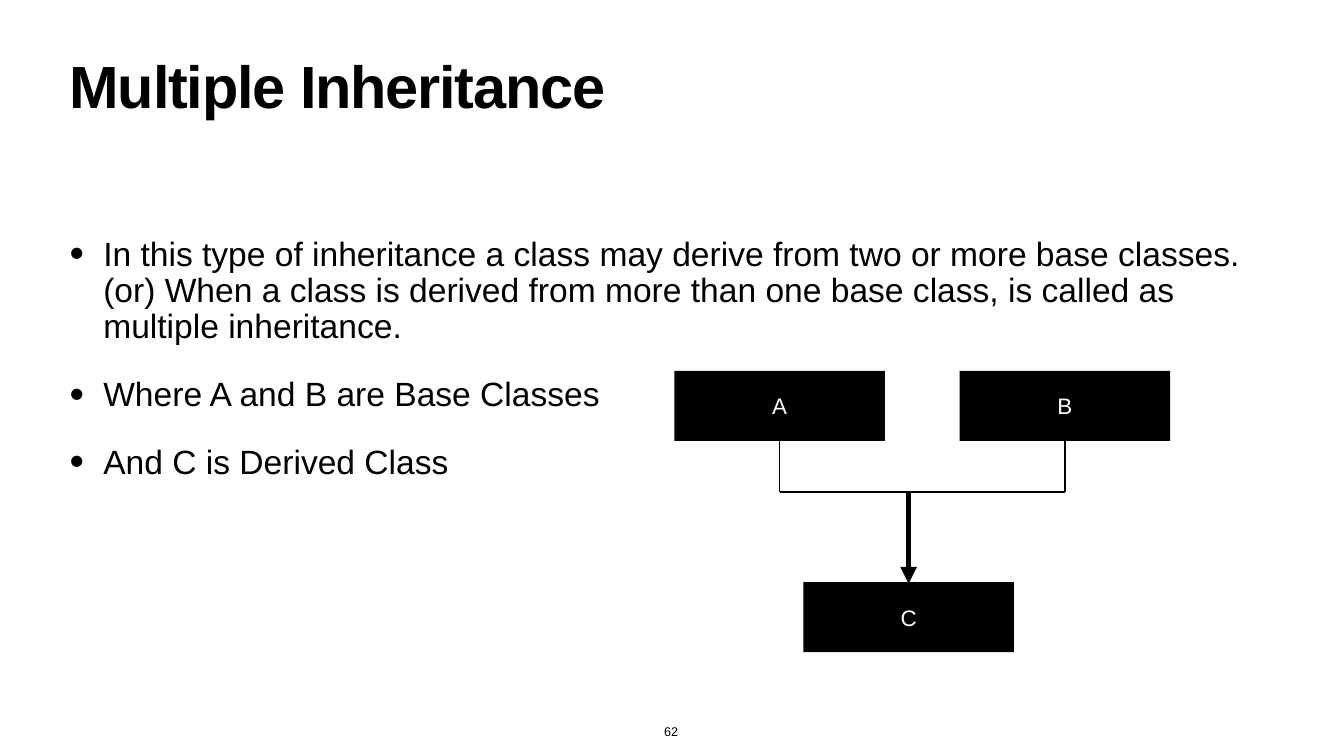
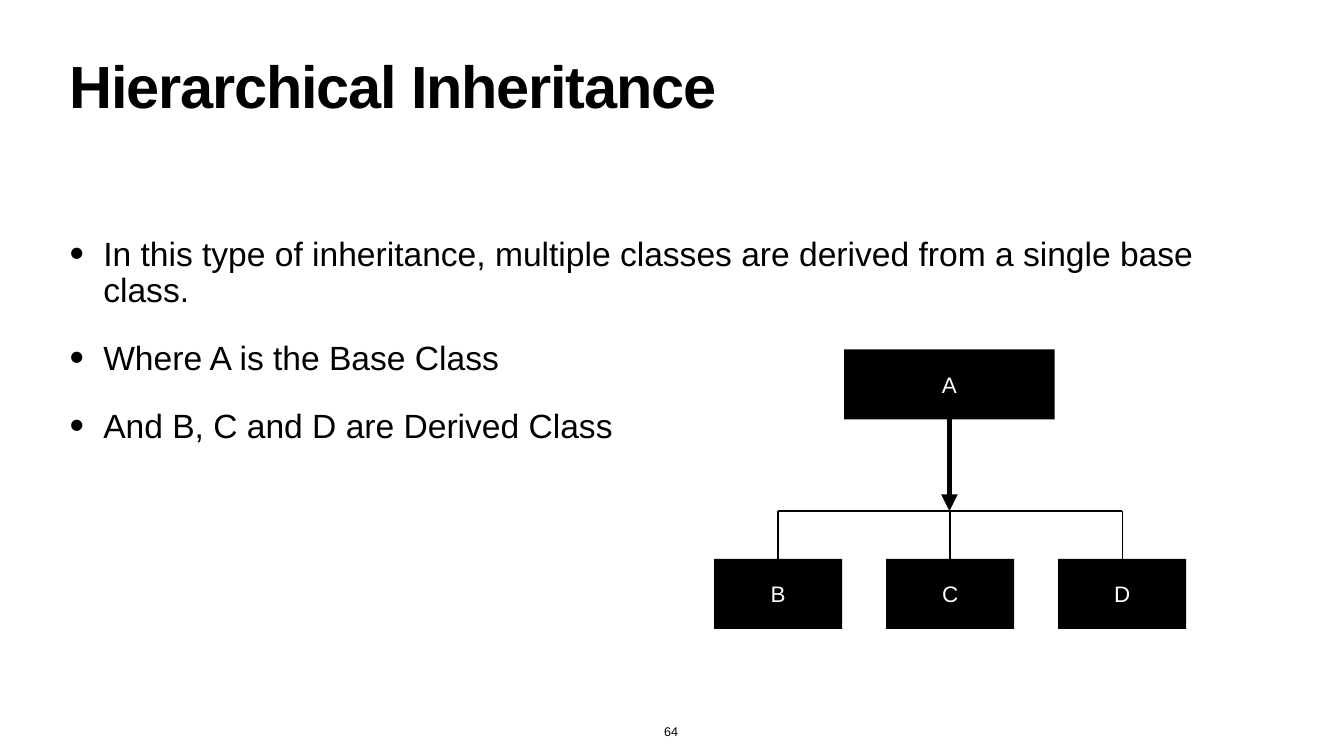
from dataclasses import dataclass

from lxml import etree
from pptx import Presentation
from pptx import util as u
from pptx.dml.color import RGBColor
from pptx.enum import shapes, text
from pptx.oxml import ns

BLACK = "000000"
WHITE = "FFFFFF"
FONT = "Arial"
MARGIN = 1.32
CONTENT_WIDTH = 24.03
INSET = 0.06
INDENT = 0.67
BOX_HEIGHT = 1.39
WIDE = 4.18
NARROW = 2.54


@dataclass(frozen=True)
class ClassBox:
    label: str
    left: float
    top: float
    width: float = WIDE

    @property
    def center(self) -> float:
        return self.left + self.width / 2

    @property
    def bottom(self) -> float:
        return self.top + BOX_HEIGHT


@dataclass(frozen=True)
class Link:
    x1: float
    y1: float
    x2: float
    y2: float
    weight: float = 2
    arrow: bool = False


@dataclass(frozen=True)
class InheritanceSlide:
    title: str
    bullets: list[str]
    number: str
    links: list[Link]
    boxes: list[ClassBox]


def color(value: str) -> RGBColor:
    return RGBColor.from_string(value)


def add_xml(parent, tag: str, **attributes: str) -> None:
    etree.SubElement(parent, ns.qn(tag), attributes)


def add_run(paragraph, content: str, size: float, fill: str = BLACK, bold: bool = False):
    run = paragraph.add_run()
    run.text = content
    font = run.font
    font.name, font.size, font.bold = FONT, u.Pt(size), bold
    font.color.rgb = color(fill)
    return run


def place(shape, left: float, top: float, width: float, height: float) -> None:
    shape.left, shape.top = u.Inches(left), u.Inches(top)
    shape.width, shape.height = u.Inches(width), u.Inches(height)


def format_frame(shape, anchor, wrap: bool = True):
    frame = shape.text_frame
    frame.margin_left = frame.margin_right = u.Inches(INSET)
    frame.margin_top = frame.margin_bottom = u.Inches(INSET)
    frame.vertical_anchor = anchor
    frame.word_wrap = wrap
    frame.auto_size = text.MSO_AUTO_SIZE.NONE
    return frame


def fill_title(shape, title: str) -> None:
    place(shape, MARGIN, 1.18, CONTENT_WIDTH, 1.57)
    paragraph = format_frame(shape, text.MSO_ANCHOR.TOP).paragraphs[0]
    paragraph.alignment = text.PP_ALIGN.LEFT
    paragraph.line_spacing = 0.8
    run = add_run(paragraph, title, 85, bold=True)
    run._r.get_or_add_rPr().set("spc", "-170")


def fill_bullets(shape, bullets: list[str]) -> None:
    place(shape, MARGIN, 4.65, CONTENT_WIDTH, 9.03)
    frame = format_frame(shape, text.MSO_ANCHOR.TOP)
    for index, bullet in enumerate(bullets):
        paragraph = frame.add_paragraph() if index else frame.paragraphs[0]
        paragraph.alignment = text.PP_ALIGN.LEFT
        paragraph.line_spacing = 0.9
        paragraph.space_before = u.Pt(45)
        properties = paragraph._p.get_or_add_pPr()
        properties.set("marL", str(u.Inches(INDENT)))
        properties.set("indent", str(-u.Inches(INDENT)))
        add_xml(properties, "a:buSzPct", val="123000")
        add_xml(properties, "a:buFont", typeface=FONT)
        add_xml(properties, "a:buChar", char="•")
        add_run(paragraph, bullet, 48)


def add_number(slide, number: str) -> None:
    bounds = [u.Inches(value) for value in (13.12, 14.31, 0.4, 0.41)]
    shape = slide.shapes.add_textbox(*bounds)
    frame = format_frame(shape, text.MSO_ANCHOR.BOTTOM, wrap=False)
    frame.auto_size = text.MSO_AUTO_SIZE.SHAPE_TO_FIT_TEXT
    paragraph = frame.paragraphs[0]
    paragraph.alignment = text.PP_ALIGN.CENTER
    add_run(paragraph, number, 18)


def add_box(diagram, box: ClassBox) -> None:
    bounds = [u.Inches(value) for value in (box.left, box.top, box.width, BOX_HEIGHT)]
    shape = diagram.shapes.add_shape(shapes.MSO_SHAPE.RECTANGLE, *bounds)
    shape.shadow.inherit = False
    shape.fill.solid()
    shape.fill.fore_color.rgb = color(BLACK)
    shape.line.fill.background()
    paragraph = format_frame(shape, text.MSO_ANCHOR.MIDDLE).paragraphs[0]
    paragraph.alignment = text.PP_ALIGN.CENTER
    add_run(paragraph, box.label, 32, WHITE)


def add_link(diagram, link: Link) -> None:
    ends = [u.Inches(value) for value in (link.x1, link.y1, link.x2, link.y2)]
    connector = diagram.shapes.add_connector(shapes.MSO_CONNECTOR.STRAIGHT, *ends)
    connector.line.color.rgb = color(BLACK)
    connector.line.width = u.Pt(link.weight)
    if link.arrow:
        add_xml(connector.get_or_add_ln(), "a:tailEnd", type="triangle")
    add_xml(connector._element.spPr, "a:effectLst")


def add_inheritance_slide(presentation, content: InheritanceSlide) -> None:
    slide = presentation.slides.add_slide(presentation.slide_layouts[1])
    fill_title(slide.shapes.title, content.title)
    fill_bullets(slide.placeholders[1], content.bullets)
    add_number(slide, content.number)
    diagram = slide.shapes.add_group_shape()
    for link in content.links:
        add_link(diagram, link)
    for box in content.boxes:
        add_box(diagram, box)


def multiple_inheritance() -> InheritanceSlide:
    bases = [ClassBox(label, 13.38 + 5.66 * i, 7.36) for i, label in enumerate("AB")]
    derived = ClassBox("C", 15.94, 11.55)
    bar = 9.76
    links = [Link(base.center, bar, base.center, base.bottom) for base in bases]
    links.append(Link(bases[0].center, bar, bases[1].center, bar))
    links.append(Link(derived.center, bar, derived.center, derived.top + 0.03, 8, True))
    return InheritanceSlide(
        "Multiple Inheritance",
        [
            "In this type of inheritance a class may derive from two or more base "
            "classes. (or) When a class is derived from more than one base class, "
            "is called as multiple inheritance.",
            "Where A and B are Base Classes",
            "And C is Derived Class",
        ],
        "62",
        links,
        [*bases, derived],
    )


def hierarchical_inheritance() -> InheritanceSlide:
    base = ClassBox("A", 16.75, 6.93)
    derived = [
        ClassBox(label, 14.17 + 3.415 * i, 11.09, NARROW) for i, label in enumerate("BCD")
    ]
    bar = 10.14
    links = [Link(child.center, child.top, child.center, bar) for child in derived]
    links.append(Link(derived[0].center, bar, derived[-1].center, bar))
    links.append(Link(base.center, base.bottom, base.center, bar, 8, True))
    return InheritanceSlide(
        "Hierarchical Inheritance",
        [
            "In this type of inheritance, multiple classes are derived from a single "
            "base class.",
            "Where A is the Base Class",
            "And B, C and D are Derived Class",
        ],
        "64",
        links,
        [base, *derived],
    )


def main() -> None:
    presentation = Presentation()
    presentation.slide_width = u.Inches(26.67)
    presentation.slide_height = u.Inches(15)
    for content in (multiple_inheritance(), hierarchical_inheritance()):
        add_inheritance_slide(presentation, content)
    presentation.save("out.pptx")


if __name__ == "__main__":
    main()
